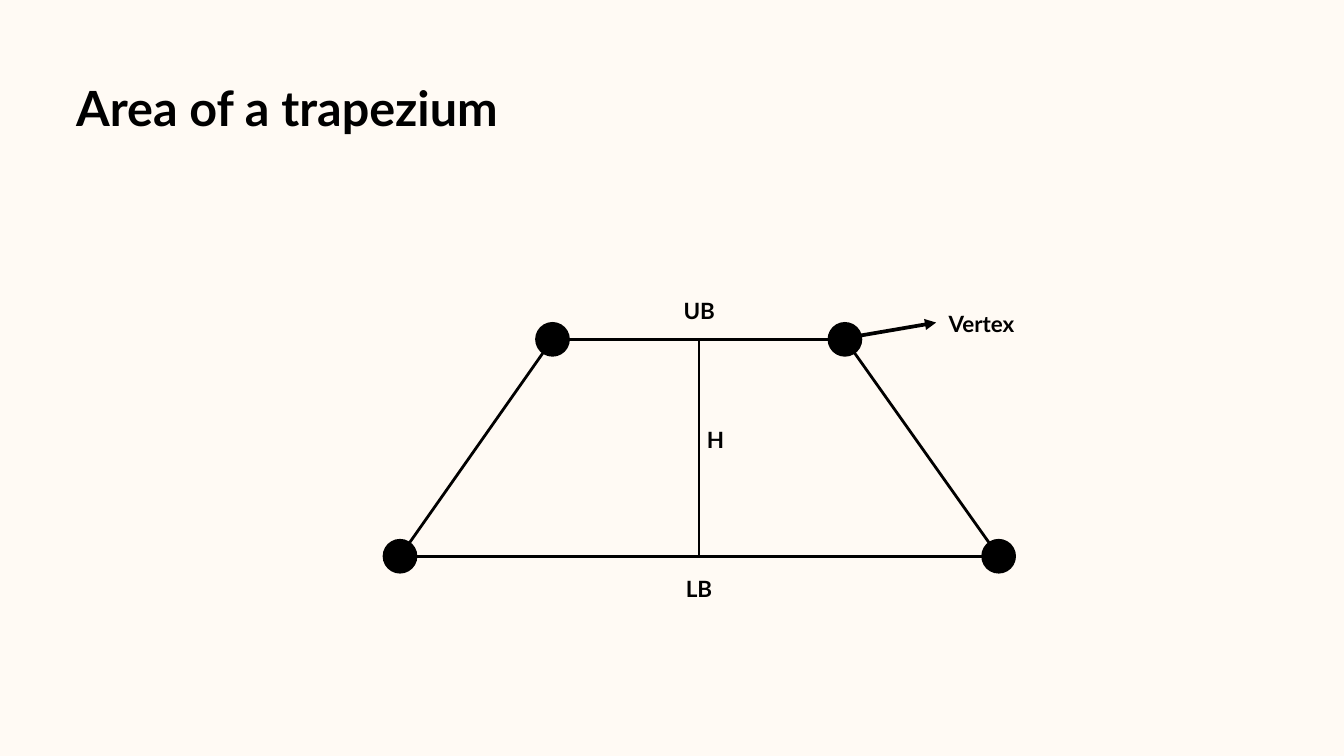
import pptx
import pptx.util
import pptx.dml.color
import pptx.enum.shapes
import pptx.enum.text
import pptx.oxml.ns
import lxml.etree

Pt = pptx.util.Pt
INK, PAPER, FONT = "000000", "FFFAF4", "Lato"

TITLE = ("Area of a trapezium", 60.5, 73.4, 494, 69.8)
TOP_Y, BASE_Y, MID_X = 363.6, 596, 749
VERTICES = {
    "upper left": (592, TOP_Y),
    "upper right": (905.3, TOP_Y),
    "lower right": (1070, BASE_Y),
    "lower left": (428.6, BASE_Y),
}
DOT = 37.2
LABELS = [
    ("LB", 733.5, 611.3, 31),
    ("UB", 731.5, 313.2, 35.3),
    ("H", 757.4, 452.2, 18.7),
    ("Vertex", 1013.8, 327.6, 75.6),
]
LABEL_HEIGHT = 31
ARROW = ((910.8, 361.4), (1003, 345.6))


def rgb(value):
    return pptx.dml.color.RGBColor.from_string(value)


def add_line(slide, start, end, width):
    line = slide.shapes.add_connector(
        pptx.enum.shapes.MSO_CONNECTOR.STRAIGHT, *map(Pt, start + end))
    line.line.color.rgb = rgb(INK)
    line.line.width = Pt(width)
    lxml.etree.SubElement(line._element.spPr, pptx.oxml.ns.qn("a:effectLst"))
    return line


def add_dot(slide, x, y):
    sp = slide.shapes.add_shape(
        pptx.enum.shapes.MSO_SHAPE.OVAL,
        Pt(x - DOT / 2), Pt(y - DOT / 2), Pt(DOT), Pt(DOT))
    sp.shadow.inherit = False
    sp.fill.solid()
    sp.fill.fore_color.rgb = rgb(INK)
    sp.line.fill.background()


def set_text(sp, text, size, spacing, wrap):
    tf = sp.text_frame
    tf.margin_left = tf.margin_right = tf.margin_top = tf.margin_bottom = 0
    tf.word_wrap = wrap
    tf.auto_size = pptx.enum.text.MSO_AUTO_SIZE.NONE
    tf.vertical_anchor = pptx.enum.text.MSO_ANCHOR.TOP
    tf.text = text
    p = tf.paragraphs[0]
    p.alignment = pptx.enum.text.PP_ALIGN.CENTER
    p.line_spacing = Pt(spacing)
    p.font.name = FONT
    p.font.size = Pt(size)
    p.font.bold = True
    p.font.color.rgb = rgb(INK)


def main():
    prs = pptx.Presentation()
    prs.slide_width, prs.slide_height = Pt(1440), Pt(810)
    slide = prs.slides.add_slide(prs.slide_layouts[5])
    slide.background.fill.solid()
    slide.background.fill.fore_color.rgb = rgb(PAPER)

    text, *box = TITLE
    title = slide.shapes.title
    title.left, title.top, title.width, title.height = map(Pt, box)
    set_text(title, text, 52, 72.8, True)

    corners = list(VERTICES.values())
    for start, end in zip(corners, corners[1:] + corners[:1]):
        add_line(slide, start, end, 3)
    add_line(slide, (MID_X, TOP_Y), (MID_X, BASE_Y), 3)
    for x, y in corners:
        add_dot(slide, x, y)

    arrow = add_line(slide, *ARROW, 4)
    lxml.etree.SubElement(
        arrow.line._get_or_add_ln(), pptx.oxml.ns.qn("a:tailEnd"), type="triangle")

    for text, x, y, width in LABELS:
        sp = slide.shapes.add_textbox(Pt(x), Pt(y), Pt(width), Pt(LABEL_HEIGHT))
        set_text(sp, text, 24, 33.6, False)

    prs.save("out.pptx")


if __name__ == "__main__":
    main()
